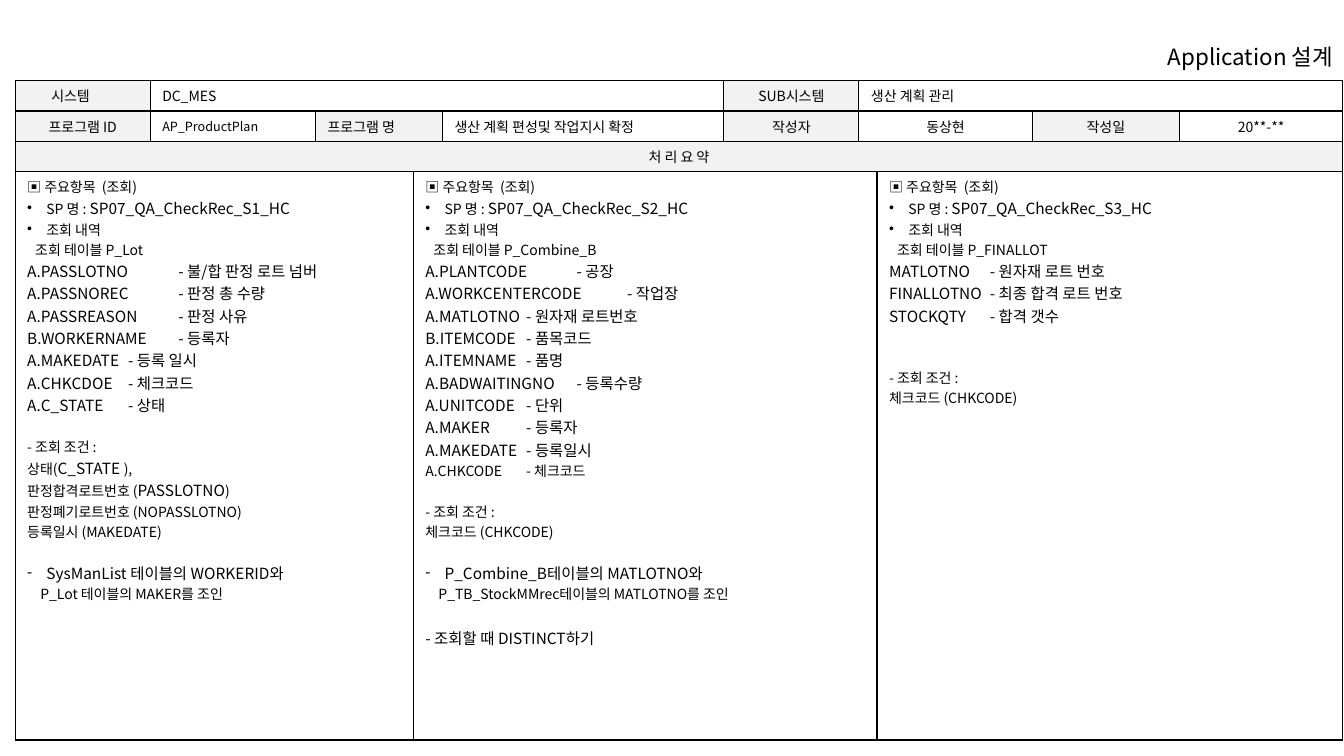
"""Build the application design sheet slide."""
from lxml import etree
from pptx import Presentation
from pptx.dml.color import RGBColor
from pptx.enum import text
from pptx.oxml.ns import qn
from pptx.util import Inches, Pt

FONT = "Noto Sans CJK KR"
COLORS = {"ink": "000000", "label": "F2F2F2"}
COLS = [1.34, 1.64, 0.97, 0.29, 2.79, 1.34, 0.18, 1.54, 1.46, 1.62]
ROWS = [0.28, 0.28, 0.28, 5.64]
CENTER, LEFT, RIGHT = text.PP_ALIGN.CENTER, text.PP_ALIGN.LEFT, text.PP_ALIGN.RIGHT
LINE = {10: 14.5, 11: 16}

HEADER = [
    (0, 0, 1, "시스템", "label", CENTER, 10),
    (0, 1, 4, "DC_MES", None, LEFT, 10),
    (0, 5, 1, "SUB시스템", "label", CENTER, 10),
    (0, 6, 4, "생산 계획 관리", None, LEFT, 10),
    (1, 0, 1, "프로그램 ID", "label", CENTER, 10),
    (1, 1, 1, "AP_ProductPlan", None, LEFT, 9),
    (1, 2, 2, "프로그램 명", "label", LEFT, 10),
    (1, 4, 1, "생산 계획 편성및 작업지시 확정", None, LEFT, 10),
    (1, 5, 1, "작성자", "label", CENTER, 10),
    (1, 6, 2, "동상현", None, CENTER, 10),
    (1, 8, 1, "작성일", "label", CENTER, 10),
    (1, 9, 1, "20**-**", None, CENTER, 10),
    (2, 0, 10, "처 리 요 약", "label", CENTER, 10),
]


def para(*runs, **fmt):
    """Describe a paragraph; a bare string is a 10 pt run."""
    return [(r, 10) if isinstance(r, str) else r for r in runs], fmt


QUERIES = [
    {"col": 0, "span": 3, "sp": "SP07_QA_CheckRec_S1_HC", "table": "P_Lot", "tab": 1.22,
     "fields": [("A.PASSLOTNO", "불/합 판정 로트 넘버", 11), ("A.PASSNOREC", "판정 총 수량", 11),
                ("A.PASSREASON", "판정 사유", 11), ("B.WORKERNAME", "등록자", 11),
                ("A.MAKEDATE", "등록 일시", 11), ("A.CHKCDOE", "체크코드", 11),
                ("A.C_STATE", "상태", 11)],
     "gap": LINE[10],
     "notes": [para("상태(", ("C_STATE ", 11), "),"),
               para("판정합격로트번호 (", ("PASSLOTNO", 11), ")"),
               para("판정폐기로트번호 (NOPASSLOTNO)"),
               para("등록일시 (MAKEDATE)"),
               para(("SysManList 테이블의 WORKERID와", 11), bullet="-", before=LINE[10]),
               para("P_Lot 테이블의 MAKER를 조인", indent=0.13)]},
    {"col": 3, "span": 4, "sp": "SP07_QA_CheckRec_S2_HC", "table": "P_Combine_B", "tab": 1.58,
     "fields": [("A.PLANTCODE", "공장", 11), ("A.WORKCENTERCODE", "작업장", 11),
                ("A.MATLOTNO", "원자재 로트번호", 11), ("B.ITEMCODE", "품목코드", 11),
                ("A.ITEMNAME", "품명", 11), ("A.BADWAITINGNO", "등록수량", 11),
                ("A.UNITCODE", "단위", 11), ("A.MAKER", "등록자", 11),
                ("A.MAKEDATE", "등록일시", 11), ("A.CHKCODE", "체크코드", 10)],
     "gap": LINE[10],
     "notes": [para("체크코드 (CHKCODE)"),
               para(("P_Combine_B테이블의 MATLOTNO와", 11), bullet="-", before=LINE[10]),
               para("P_TB_StockMMrec테이블의 MATLOTNO를 조인", indent=0.13),
               para(("- 조회할 때 DISTINCT하기", 11), before=LINE[11])]},
    {"col": 7, "span": 3, "sp": "SP07_QA_CheckRec_S3_HC", "table": "P_FINALLOT", "tab": 0.98,
     "fields": [("MATLOTNO", "원자재 로트 번호", 11), ("FINALLOTNO", "최종 합격 로트 번호", 11),
                ("STOCKQTY", "합격 갯수", 11)],
     "gap": 2 * LINE[10],
     "notes": [para("체크코드 (CHKCODE)")]},
]


def add_run(p, content, size):
    """Add a run in the sheet's font and ink colour."""
    r = p.add_run()
    r.text = content
    for key, value in {"name": FONT, "size": Pt(size), "bold": False}.items():
        setattr(r.font, key, value)
    r.font.color.rgb = RGBColor.from_string(COLORS["ink"])
    etree.SubElement(r.font._element, qn("a:ea"), typeface=FONT)


def fill_paragraph(p, runs, align=LEFT, before=0, indent=0, bullet=None, tab=None):
    """Write runs into a paragraph with its spacing, bullet and tab stop."""
    for key, value in {"alignment": align, "space_before": Pt(before)}.items():
        setattr(p, key, value)
    pPr = p._p.get_or_add_pPr()
    margin = 0.19 if bullet else indent
    pPr.set("marL", str(Inches(margin)))
    pPr.set("indent", str(Inches(-margin if bullet else 0)))
    if bullet:
        etree.SubElement(pPr, qn("a:buFont"), typeface="Arial")
        etree.SubElement(pPr, qn("a:buChar"), char=bullet)
    else:
        etree.SubElement(pPr, qn("a:buNone"))
    if tab:
        tabs = etree.SubElement(pPr, qn("a:tabLst"))
        etree.SubElement(tabs, qn("a:tab"), pos=str(Inches(tab)), algn="l")
    for content, size in runs:
        add_run(p, content, size)


def fill_cell(cell, paragraphs, anchor):
    """Write described paragraphs into a cell."""
    cell.vertical_anchor = anchor
    tf = cell.text_frame
    for i, (runs, fmt) in enumerate(paragraphs):
        p = tf.add_paragraph() if i else tf.paragraphs[0]
        fill_paragraph(p, runs, **fmt)


def style_cell(cell):
    """Give a cell black borders, even margins and no fill."""
    tcPr = cell._tc.get_or_add_tcPr()
    for side in ("lnL", "lnR", "lnT", "lnB"):
        ln = etree.SubElement(tcPr, qn(f"a:{side}"), w=str(Pt(1)))
        solid = etree.SubElement(ln, qn("a:solidFill"))
        etree.SubElement(solid, qn("a:srgbClr"), val=COLORS["ink"])
    cell.fill.background()
    margins = {"margin_left": 0.12, "margin_right": 0.12, "margin_top": 0.05, "margin_bottom": 0.05}
    for key, value in margins.items():
        setattr(cell, key, Inches(value))


def query_paragraphs(query):
    """List the paragraphs that describe one query."""
    fields = [para((f"{name}\t- {label}", size), tab=query["tab"])
              for name, label, size in query["fields"]]
    return [para("▣ 주요항목  (조회)"),
            para("SP 명 : ", (query["sp"], 11), bullet="•"),
            para("조회 내역", bullet="•"),
            para(f"조회 테이블 {query['table']}", indent=0.08),
            *fields,
            para("- 조회 조건 :", before=query["gap"]),
            *query["notes"]]


def add_sheet(s):
    """Add the design sheet table."""
    frame = s.shapes.add_table(len(ROWS), len(COLS), Inches(0.15), Inches(0.8),
                               Inches(sum(COLS)), Inches(sum(ROWS)))
    table = frame.table
    table.first_row = table.horz_banding = False
    for column, width in zip(table.columns, COLS):
        column.width = Inches(width)
    for row, height in zip(table.rows, ROWS):
        row.height = Inches(height)
    for cell in table.iter_cells():
        style_cell(cell)
    for row, col, span, content, fill, align, size in HEADER:
        cell = table.cell(row, col)
        if span > 1:
            cell.merge(table.cell(row, col + span - 1))
        if fill:
            cell.fill.solid()
            cell.fill.fore_color.rgb = RGBColor.from_string(COLORS[fill])
        fill_cell(cell, [para((content, size), align=align)], text.MSO_ANCHOR.MIDDLE)
    table.cell(0, 0).margin_right = Inches(0.36)
    for query in QUERIES:
        cell = table.cell(3, query["col"])
        cell.merge(table.cell(3, query["col"] + query["span"] - 1))
        fill_cell(cell, query_paragraphs(query), text.MSO_ANCHOR.TOP)


def add_title(s):
    """Place the slide title at the top right."""
    sp = s.shapes.title
    box = {"left": 10.35, "top": 0.4, "width": 2.97, "height": 0.33}
    for key, value in box.items():
        setattr(sp, key, Inches(value))
    tf = sp.text_frame
    frame = {"word_wrap": True, "auto_size": text.MSO_AUTO_SIZE.NONE,
             "vertical_anchor": text.MSO_ANCHOR.MIDDLE}
    for key, value in frame.items():
        setattr(tf, key, value)
    fill_paragraph(tf.paragraphs[0], [("Application 설계", 16)], align=RIGHT)


def main():
    """Build and save the slide."""
    prs = Presentation()
    prs.slide_width, prs.slide_height = Inches(13.33), Inches(7.5)
    s = prs.slides.add_slide(prs.slide_layouts[5])
    add_title(s)
    add_sheet(s)
    prs.save("out.pptx")


main()
